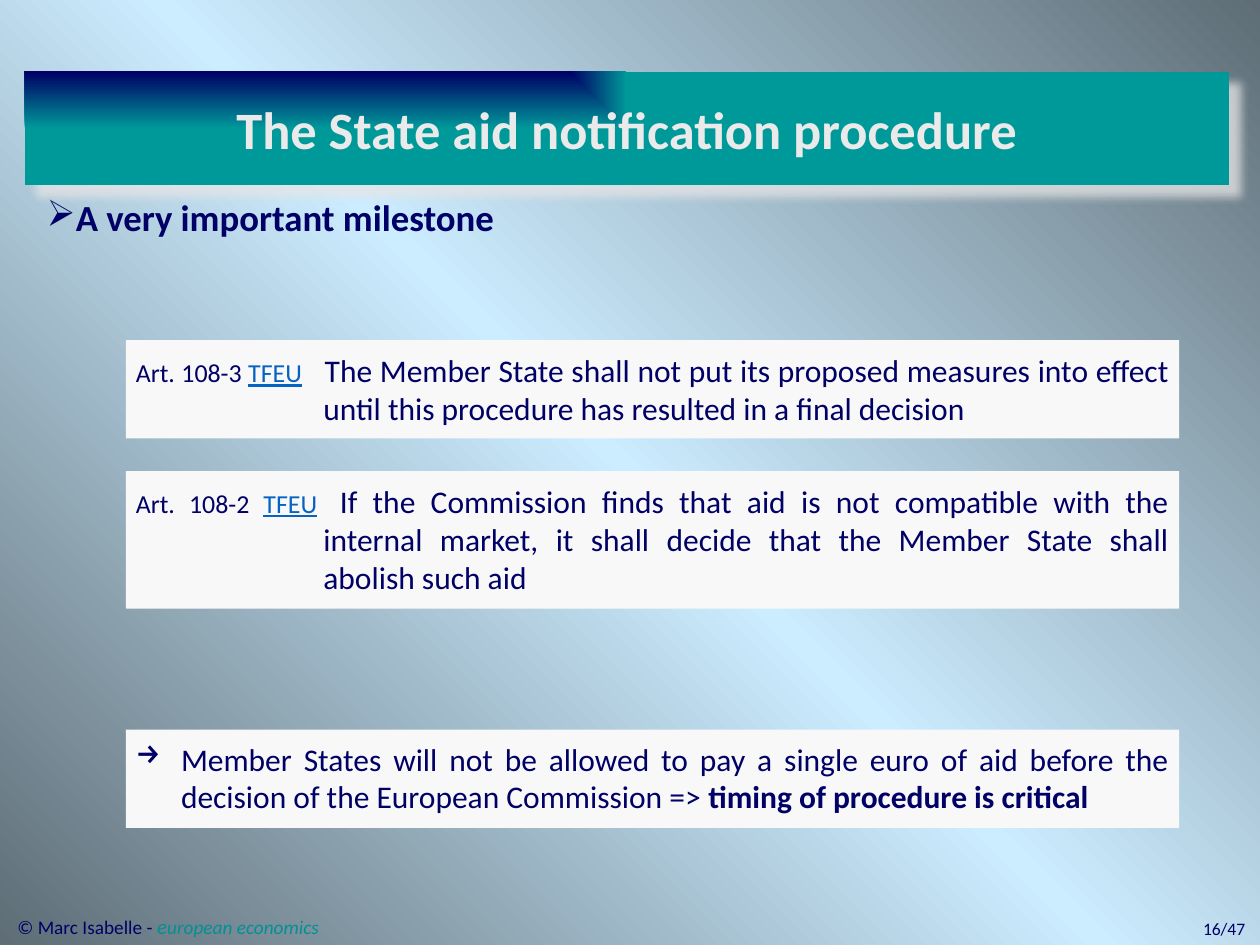
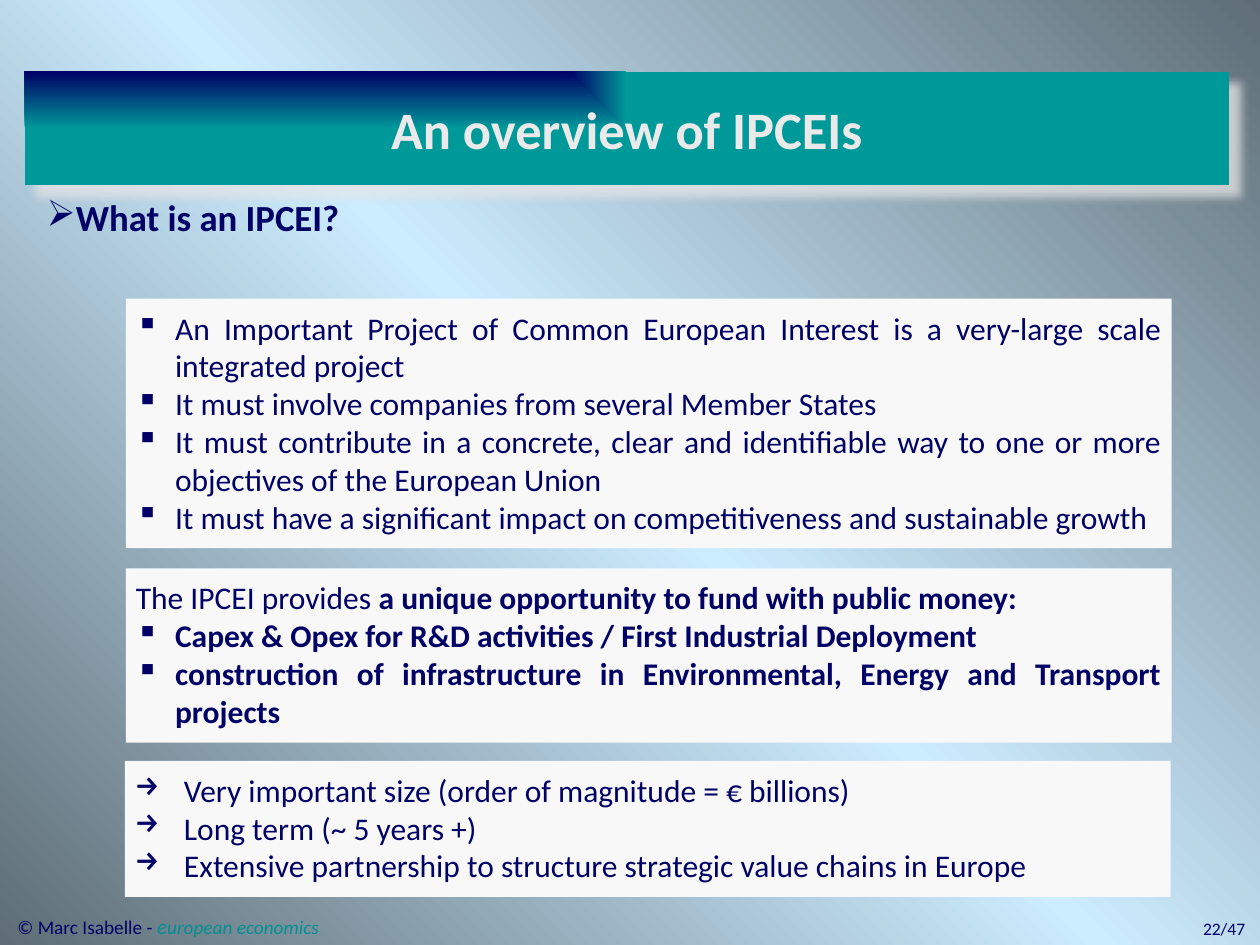
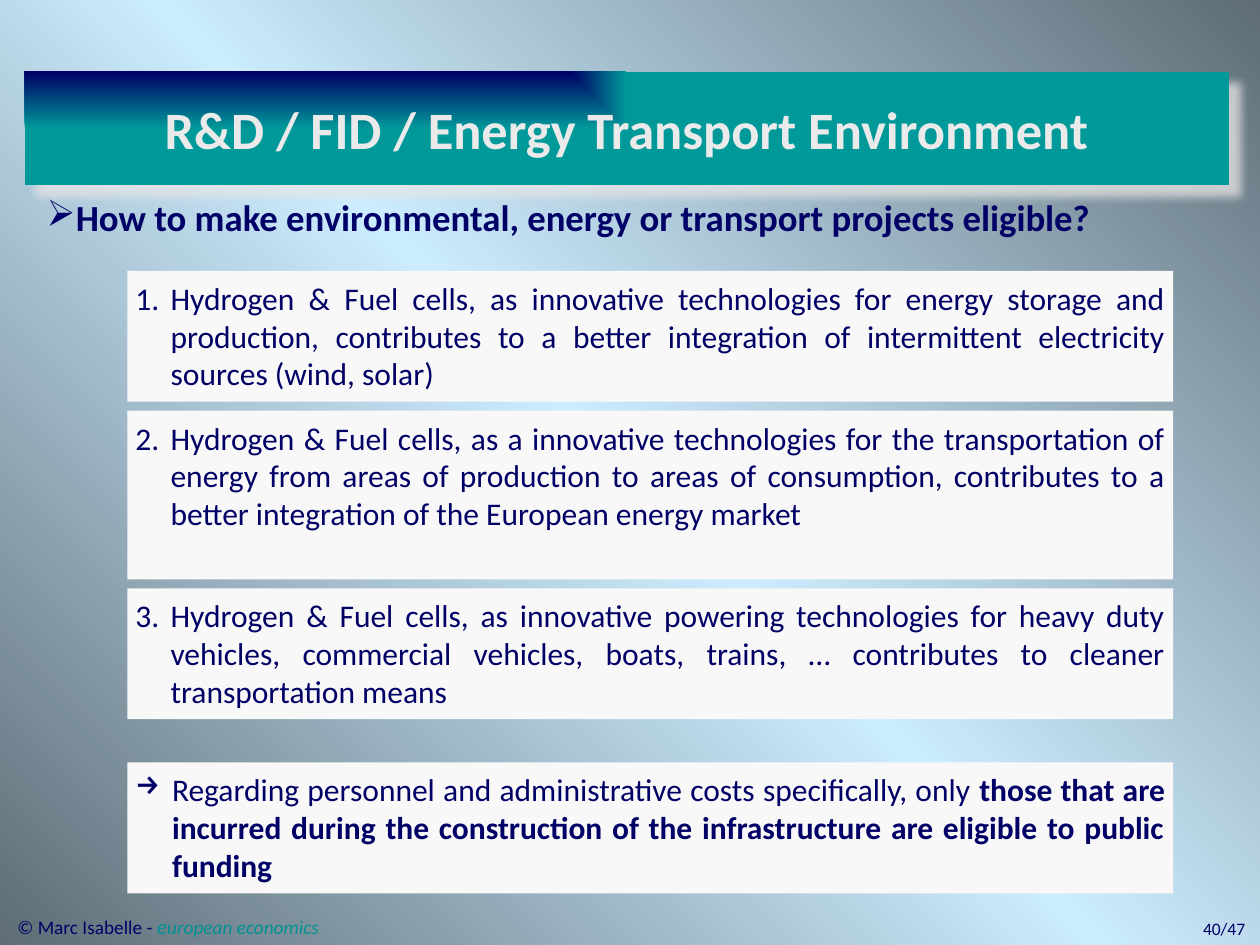
"""Build three slides on State aid procedure and IPCEIs."""
from pptx import Presentation
from pptx import util as u
from pptx.dml.color import RGBColor
from pptx.enum import shapes, text
from pptx.oxml import parse_xml
from pptx.oxml.ns import nsdecls, qn

NAVY = RGBColor(0x00, 0x00, 0x66)
TEAL = RGBColor(0x00, 0x99, 0x99)
FIRM_TEAL = RGBColor(0x00, 0x91, 0x93)
SLATE = RGBColor(0x5E, 0x6D, 0x76)
SKY = RGBColor(0xCC, 0xEC, 0xFF)
PANEL = RGBColor(0xF8, 0xF8, 0xF8)
TITLE = RGBColor(0xEA, 0xEA, 0xEA)
SHADOW = RGBColor(0xE7, 0xE6, 0xE6)
LINK = RGBColor(0x05, 0x63, 0xC1)

FONT = "Calibri"
JUSTIFY = text.PP_ALIGN.JUSTIFY
CORNER = '<a:path path="rect"><a:fillToRect r="100000" b="100000"/></a:path>'
DIAGONAL = '<a:lin ang="18900000" scaled="0"/>'


def gradient(stops, direction):
    """Return a gradient fill element for (percent, colour) stops."""
    marks = "".join(
        f'<a:gs pos="{pos * 1000}"><a:srgbClr val="{color}"/></a:gs>'
        for pos, color in stops)
    return parse_xml(f'<a:gradFill {nsdecls("a")} rotWithShape="1">'
                     f'<a:gsLst>{marks}</a:gsLst>{direction}</a:gradFill>')


def replace_gradient(fill, parent, stops, direction):
    """Give a fill the wanted gradient."""
    fill.gradient()
    parent.replace(parent.find(qn("a:gradFill")), gradient(stops, direction))


def set_bullet(p, bullet, hang, left):
    """Set the indent, and a character or a number as the bullet."""
    pPr = p._p.get_or_add_pPr()
    pPr.set("marL", str(u.Cm(hang if left is None else left)))
    pPr.set("indent", str(-u.Cm(hang)))
    if isinstance(bullet, int):
        tag = f'buAutoNum {nsdecls("a")} type="arabicPeriod" startAt="{bullet}"'
    elif bullet:
        tag = f'buChar {nsdecls("a")} char="{bullet}"'
    else:
        tag = f'buNone {nsdecls("a")}'
    pPr.append(parse_xml(f"<a:{tag}/>"))


def write(tf, content, size=18, color=NAVY, bold=False, align=JUSTIFY,
          bullet=None, hang=0, left=None, spacing=None):
    """Add a paragraph from a string or from (string, format) runs."""
    p = tf.paragraphs[0] if not tf.paragraphs[0].runs else tf.add_paragraph()
    p.alignment = align
    if spacing:
        p.line_spacing = spacing
    set_bullet(p, bullet, hang, left)
    runs = [(content, {})] if isinstance(content, str) else content
    for words, style in runs:
        r = p.add_run()
        r.text = words
        r.font.name = FONT
        r.font.size = u.Pt(style.get("size", size))
        r.font.color.rgb = style.get("color", color)
        r.font.bold = style.get("bold", bold)
        r.font.italic = style.get("italic", False)
        r.font.underline = style.get("underline", False)


def add_text(s, box, content, wrap=True, **style):
    """Add a text box with one paragraph."""
    tf = s.shapes.add_textbox(*map(u.Cm, box)).text_frame
    tf.word_wrap = wrap
    write(tf, content, **style)


def add_rect(s, box, inset, anchor):
    """Add a rectangle without line or shadow."""
    sp = s.shapes.add_shape(shapes.MSO_SHAPE.RECTANGLE, *map(u.Cm, box))
    sp.shadow.inherit = False
    sp.line.fill.background()
    tf = sp.text_frame
    tf.word_wrap = True
    tf.vertical_anchor = anchor
    tf.margin_left = tf.margin_right = u.Cm(inset)
    tf.margin_top = tf.margin_bottom = u.Cm(inset)
    return sp


def add_band(s, title):
    """Add the shaded title band."""
    sp = add_rect(s, (0.5, 1.45, 24.28, 2.29), 0.5, text.MSO_ANCHOR.MIDDLE)
    spPr = sp._element.spPr
    replace_gradient(sp.fill, spPr, [(0, NAVY), (100, TEAL)], CORNER)
    spPr.find(qn("a:effectLst")).append(parse_xml(
        f'<a:outerShdw {nsdecls("a")} blurRad="{u.Pt(5)}" dist="{u.Pt(8.5)}" '
        f'dir="2700000" algn="tl" rotWithShape="0"><a:srgbClr val="{SHADOW}">'
        '<a:alpha val="75000"/></a:srgbClr></a:outerShdw>'))
    write(sp.text_frame, title, size=30, color=TITLE, bold=True,
          align=text.PP_ALIGN.CENTER)


def add_panel(s, box, paragraphs, inset=0.2, **style):
    """Add a pale panel of paragraphs that share a format."""
    sp = add_rect(s, box, inset, text.MSO_ANCHOR.TOP)
    sp.fill.solid()
    sp.fill.fore_color.rgb = PANEL
    for content in paragraphs:
        write(sp.text_frame, content, **style)
    return sp


def add_article(s, top, height, number, rule):
    """Add a panel that quotes a treaty article."""
    small = {"size": 14.8}
    add_panel(s, (2.54, top, 21.23, height), [[
        (f"Art. {number} ", small),
        ("TFEU", {"size": 14.8, "color": LINK, "underline": True}),
        ("\t", {"size": 18.5}),
        (rule, {})]], hang=3.78)


def add_slide(prs, title, heading, page):
    """Add a slide with background, title, heading and footer."""
    s = prs.slides.add_slide(prs.slide_layouts[6])
    fill = s.background.fill
    replace_gradient(fill, s._element.cSld.find(qn("p:bg")).find(qn("p:bgPr")),
                     [(0, SLATE), (50, SKY), (100, SLATE)], DIAGONAL)
    add_text(s, (22.33, 18.39, 3.02, 0.69), f"{page}/47", size=10,
             align=text.PP_ALIGN.RIGHT)
    add_text(s, (0.69, 3.91, 22.99, 13.2), heading, size=21, bold=True,
             bullet="➢", hang=0.74, left=0.48, spacing=0.9)
    firm = {"color": FIRM_TEAL, "italic": True}
    add_text(s, (0.1, 18.29, 6.63, 0.76),
             [("© Marc Isabelle - ", {}), ("e", {**firm, "size": 12}),
              ("uropean economics", firm)],
             wrap=False, size=11, align=text.PP_ALIGN.LEFT)
    add_band(s, title)
    return s


def add_notification(prs):
    """Add the slide on the notification procedure."""
    s = add_slide(prs, "The State aid notification procedure",
                  "A very important milestone", 16)
    add_article(s, 6.86, 1.98, "108-3",
                "The Member State shall not put its proposed measures into "
                "effect until this procedure has resulted in a final decision")
    add_article(s, 9.5, 2.77, "108-2",
                "If the Commission finds that aid is not compatible with the "
                "internal market, it shall decide that the Member State shall "
                "abolish such aid")
    add_panel(s, (2.54, 14.71, 21.23, 1.98), [[
        ("Member States will not be allowed to pay a single euro of aid before "
         "the decision of the European Commission => ", {}),
        ("timing of procedure is critical", {"bold": True})]],
        bullet="→", hang=0.91)


def add_overview(prs):
    """Add the slide that defines an IPCEI."""
    s = add_slide(prs, "An overview of IPCEIs", "What is an IPCEI?", 22)
    square = {"bullet": "▪", "hang": 0.79}
    add_panel(s, (2.54, 6.02, 21.08, 5.03), [
        "An Important Project of Common European Interest is a very-large "
        "scale integrated project",
        "It must involve companies from several Member States",
        "It must contribute in a concrete, clear and identifiable way to one "
        "or more objectives of the European Union",
        "It must have a significant impact on competitiveness and sustainable "
        "growth"], **square)
    add_panel(s, (2.52, 15.34, 21.08, 2.74), [
        "Very important size (order of magnitude = € billions)",
        "Long term (~ 5 years +)",
        "Extensive partnership to structure strategic value chains in Europe"],
        bullet="→", hang=0.99)
    sp = add_panel(s, (2.54, 11.46, 21.08, 3.51), [[
        ("The IPCEI provides ", {}),
        ("a unique opportunity to fund with public money:", {"bold": True})]])
    for use in ("Capex & Opex for R&D activities / First Industrial Deployment",
                "construction of infrastructure in Environmental, Energy and "
                "Transport projects"):
        write(sp.text_frame, use, bold=True, **square)


def add_eligibility(prs):
    """Add the slide on eligible infrastructure projects."""
    s = add_slide(prs, "R&D / FID / Energy Transport Environment",
                  "How to make environmental, energy or transport projects "
                  "eligible?", 40)
    reasons = [
        (2.64, "as innovative technologies for energy storage and production, "
               "contributes to a better integration of intermittent "
               "electricity sources (wind, solar)"),
        (3.4, "as a innovative technologies for the transportation of energy "
              "from areas of production to areas of consumption, contributes "
              "to a better integration of the European energy market"),
        (2.64, "as innovative powering technologies for heavy duty vehicles, "
               "commercial vehicles, boats, trains, … contributes to cleaner "
               "transportation means")]
    top = 5.46
    for number, (height, reason) in enumerate(reasons, 1):
        add_panel(s, (2.57, top, 21.08, height),
                  [f"Hydrogen & Fuel cells, {reason}"],
                  inset=0.16, bullet=number, hang=0.71)
        top += height + 0.18
    add_panel(s, (2.57, 15.37, 21.08, 2.64), [[
        ("Regarding personnel and administrative costs specifically, only ", {}),
        ("those that are incurred during the construction of the "
         "infrastructure are eligible to public funding", {"bold": True})]],
        inset=0.16, bullet="→", hang=0.74)


def main():
    """Build and save the presentation."""
    prs = Presentation()
    prs.slide_width, prs.slide_height = u.Cm(25.4), u.Cm(19.05)
    add_notification(prs)
    add_overview(prs)
    add_eligibility(prs)
    prs.save("out.pptx")


if __name__ == "__main__":
    main()
